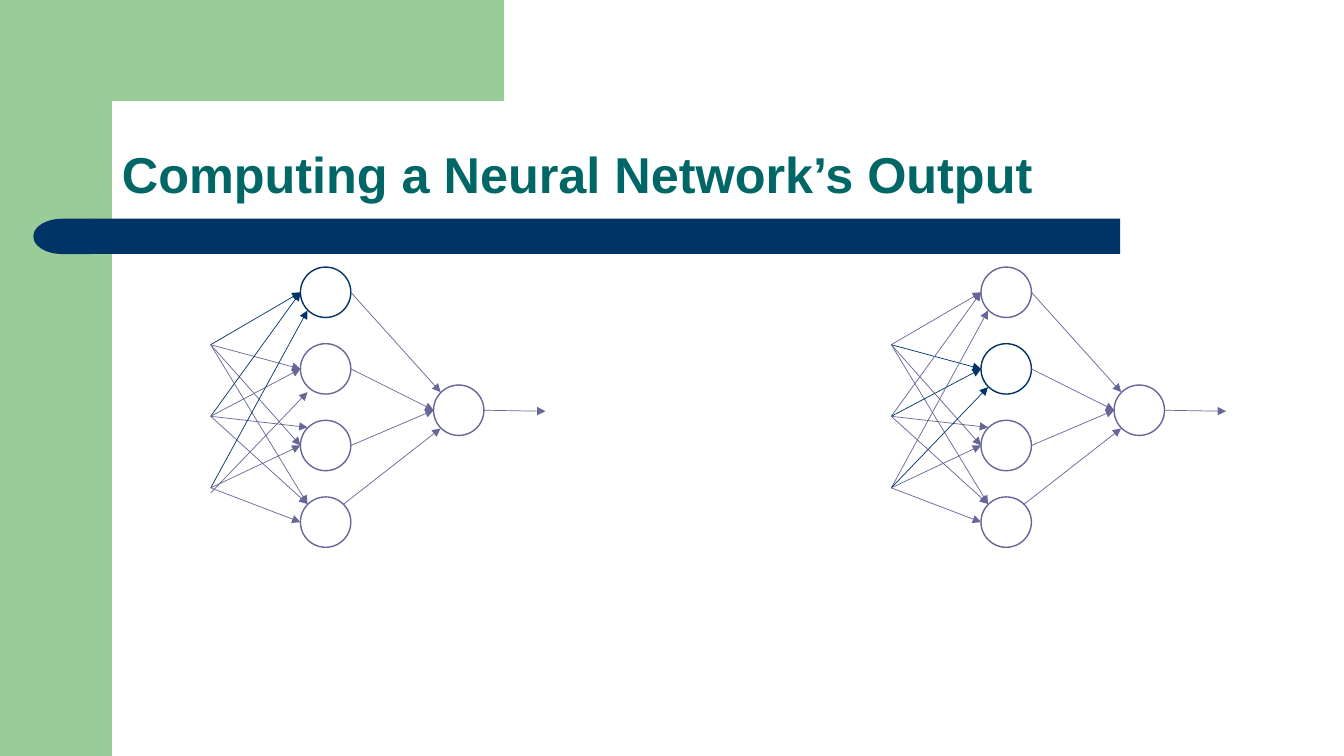
from math import cos, pi, sin

from lxml.etree import SubElement
from pptx import Presentation
from pptx.dml.color import RGBColor
from pptx.enum.shapes import MSO_CONNECTOR as Connector, MSO_SHAPE as Shape
from pptx.enum.text import MSO_ANCHOR as Anchor, PP_ALIGN as Align
from pptx.oxml.ns import qn
from pptx.util import Inches, Pt

COLORS = {
    "green": "99CC99",
    "navy": "003366",
    "violet": "666699",
    "teal": "006666",
}
DIAMETER = 0.5
SITES = {
    "left": (0, 0.25),
    "upper left": (0.07, 0.07),
    "lower left": (0.07, 0.43),
    "right": (0.5, 0.25),
    "upper right": (0.43, 0.07),
}
INPUT_SITES = [
    ["left", "left", "left", "upper left"],
    ["left", "left", "upper left", "upper left"],
    ["lower left", "lower left", "left", "left"],
]
OUTPUT_SITES = [
    ("right", "upper left"),
    ("right", "left"),
    ("right", "left"),
    ("upper right", "lower left"),
]


def color(name):
    return RGBColor.from_string(COLORS[name])


def paint(shape, fill):
    shape.shadow.inherit = False
    shape.fill.solid()
    shape.fill.fore_color.rgb = color(fill)
    shape.line.fill.background()


def add_block(page, kind, left, top, width, height, fill):
    block = page.shapes.add_shape(
        kind, Inches(left), Inches(top), Inches(width), Inches(height))
    paint(block, fill)
    return block


def add_corner(page):
    angles = [pi / 2 * step / 12 for step in range(13)]
    arc = [(1.49 - 0.38 * sin(angle), 1.18 - 0.35 * cos(angle)) for angle in angles]
    points = [(4.67, 0), (4.67, 0.83), *arc, (1.11, 1.28), (0.67, 1.28), (0.67, 0)]
    builder = page.shapes.build_freeform(*points[0], scale=Inches(1))
    builder.add_line_segments(points[1:], close=True)
    paint(builder.convert_to_shape(), "green")


def add_neuron(group, left, top, line):
    neuron = group.shapes.add_shape(
        Shape.OVAL, Inches(left), Inches(top), Inches(DIAMETER), Inches(DIAMETER))
    neuron.shadow.inherit = False
    neuron.fill.background()
    neuron.line.color.rgb = color(line)
    neuron.line.width = Pt(1)


def add_arrow(group, start, end, line):
    arrow = group.shapes.add_connector(
        Connector.STRAIGHT, *(Inches(value) for value in (*start, *end)))
    arrow.line.color.rgb = color(line)
    arrow.line.width = Pt(0.5)
    SubElement(arrow.line._get_or_add_ln(), qn("a:tailEnd"), type="triangle")
    SubElement(arrow._element.spPr, qn("a:effectLst"))


def site(neuron, name):
    return neuron[0] + SITES[name][0], neuron[1] + SITES[name][1]


def add_network(page, left, active, drop=0):
    group = page.shapes.add_group_shape()
    inputs = [(left, 3.42 + 0.71 * row) for row in range(3)]
    hidden = [(left + 0.89, 2.65 + 0.76 * row) for row in range(4)]
    output = (left + 2.21, 3.82)
    lines = ["navy" if row == active else "violet" for row in range(4)]

    for neuron, line, (start, end) in zip(hidden, lines, OUTPUT_SITES):
        add_neuron(group, *neuron, line)
        add_arrow(group, site(neuron, start), site(output, end), "violet")
    add_neuron(group, *output, "violet")
    add_arrow(group, site(output, "right"), (left + 3.32, 4.08), "violet")

    for source, (start, names) in enumerate(zip(inputs, INPUT_SITES)):
        for target, (neuron, name) in enumerate(zip(hidden, names)):
            shift = drop if (source, target) == (2, 1) else 0
            end_x, end_y = site(neuron, name)
            add_arrow(group, (start[0], start[1] + shift),
                      (end_x, end_y + shift), lines[target])


def set_title(page, text):
    title = page.shapes.title
    title.left, title.top = Inches(1.11), Inches(0.83)
    title.width, title.height = Inches(11.56), Inches(1.25)
    frame = title.text_frame
    frame.text = text
    frame.word_wrap = True
    frame.vertical_anchor = Anchor.BOTTOM
    para = frame.paragraphs[0]
    para.alignment = Align.LEFT
    para.line_spacing = 0.9
    font = para.runs[0].font
    font.name = "Arial"
    font.size = Pt(36)
    font.bold = True
    font.color.rgb = color("teal")


def main():
    deck = Presentation()
    deck.slide_width, deck.slide_height = Inches(13.33), Inches(7.5)
    page = deck.slides.add_slide(deck.slide_layouts[5])
    set_title(page, "Computing a Neural Network’s Output")
    add_block(page, Shape.RECTANGLE, 0, 0, 1.11, 7.5, "green")
    add_corner(page)
    add_block(page, Shape.RECTANGLE, 0.89, 2.17, 10.22, 0.35, "navy")
    cap = add_block(page, Shape.FLOWCHART_DELAY, 0.33, 2.17, 0.57, 0.35, "navy")
    cap.rotation = 180
    add_network(page, 2.09, active=0, drop=0.05)
    add_network(page, 8.84, active=1)
    deck.save("out.pptx")


if __name__ == "__main__":
    main()
